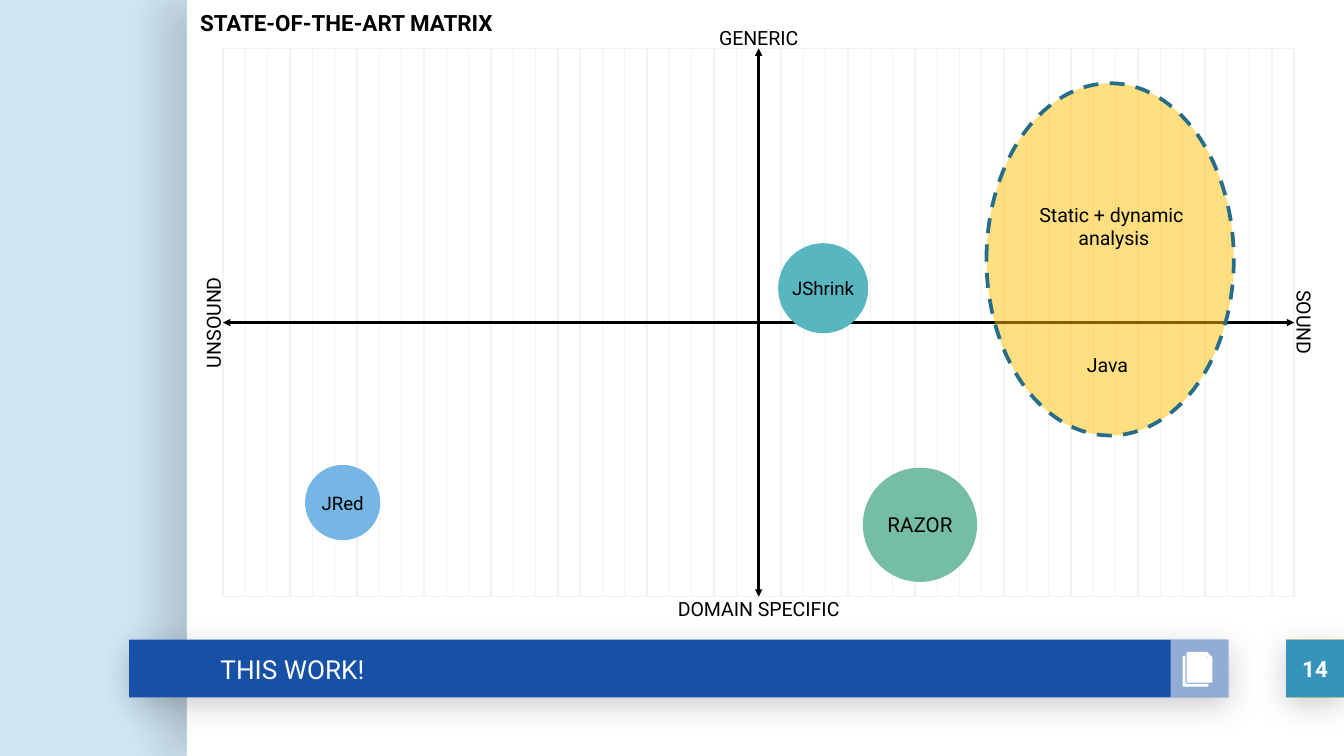
from typing import NamedTuple, Optional

import pptx
import pptx.dml.color
import pptx.enum.dml
import pptx.enum.shapes
import pptx.enum.text
import pptx.oxml
import pptx.oxml.ns
import pptx.util
from pptx.util import Inches

SHAPE = pptx.enum.shapes.MSO_SHAPE
ALIGN = pptx.enum.text.PP_ALIGN
ANCHOR = pptx.enum.text.MSO_ANCHOR
NS = pptx.oxml.ns.nsdecls("a")


class Box(NamedTuple):
    left: float
    top: float
    width: float
    height: float


class Shade(NamedTuple):
    alpha: int
    blur: float
    dist: float
    angle: int


class Bubble(NamedTuple):
    name: str
    left: float
    top: float
    size: float
    fill: str
    points: float


class Label(NamedTuple):
    text: str
    left: float
    top: float
    turn: int = 0


class Note(NamedTuple):
    text: str
    box: Box


WIDTH = 10
HEIGHT = WIDTH * 9 / 16
SIDE = Shade(15, 22.5, 15, 180)
UNDER = Shade(20, 16.9, 3.8, 90)
GRID = Box(1.66, 0.36, 7.97, 4.08)
COLS = 48
TILE = 0.43
BAR_TOP = 4.76

BUBBLES = [
    Bubble("RAZOR", 6.42, 3.48, 0.85, "75BDA7", 11),
    Bubble("JRed", 2.27, 3.46, 0.56, "75B6E5", 10),
    Bubble("JShrink", 5.79, 1.81, 0.67, "58B6C0", 10),
]
LABELS = [
    Label("UNSOUND", 0.96, 2.32, 270),
    Label("SOUND", 9.08, 2.32, 90),
    Label("DOMAIN SPECIFIC", 5.02, 4.45),
    Label("GENERIC", 5.02, 0.2),
]
NOTES = [
    Note("Static + dynamic\n analysis", Box(7.4, 1.46, 1.74, 0.47)),
    Note("Java", Box(7.37, 2.58, 1.74, 0.28)),
]
# Outlines of the document icon: back sheet, front sheet, folded corner
SHEETS = [
    [(8.8, 4.88), (8.82, 4.88), (8.82, 5.08), (8.83, 5.09),
     (8.99, 5.09), (8.99, 5.11), (8.8, 5.11)],
    [(8.83, 4.85), (8.98, 4.85), (8.98, 4.89), (9.02, 4.89),
     (9.02, 5.08), (8.83, 5.08)],
    [(8.98, 4.85), (9.02, 4.89), (8.99, 4.89), (8.98, 4.88)],
]


def color(code: str) -> pptx.dml.color.RGBColor:
    return pptx.dml.color.RGBColor.from_string(code)


def place(sizes: tuple) -> list:
    return [Inches(size) for size in sizes]


def paint(shape, fill: str, alpha: int = 100) -> None:
    """Give a flat fill with no outline and no shadow."""
    shape.shadow.inherit = False
    shape.fill.solid()
    shape.fill.fore_color.rgb = color(fill)
    shape.line.fill.background()
    if alpha < 100:
        tint = shape._element.spPr.find(".//" + pptx.oxml.ns.qn("a:srgbClr"))
        tint.append(pptx.oxml.parse_xml(f'<a:alpha {NS} val="{alpha * 1000}"/>'))


def draw(slide, kind, box: Box, fill: str, alpha: int = 100,
         shade: Optional[Shade] = None):
    shape = slide.shapes.add_shape(kind, *place(box))
    paint(shape, fill, alpha)
    if shade:
        blur, dist = pptx.util.Pt(shade.blur), pptx.util.Pt(shade.dist)
        shape._element.spPr.find(pptx.oxml.ns.qn("a:effectLst")).append(
            pptx.oxml.parse_xml(
                f'<a:outerShdw {NS} blurRad="{blur}" dist="{dist}" '
                f'dir="{shade.angle * 60000}" algn="ctr" rotWithShape="0">'
                f'<a:srgbClr val="000000"><a:alpha val="{shade.alpha * 1000}"/>'
                '</a:srgbClr></a:outerShdw>'))
    return shape


def write(shape, text: str, points: float, ink: str = "000000",
          bold: bool = False, align=ALIGN.CENTER, anchor=ANCHOR.MIDDLE,
          pad_x: float = 0, pad_y: float = 0) -> None:
    frame = shape.text_frame
    frame.word_wrap = True
    frame.vertical_anchor = anchor
    frame.margin_left = frame.margin_right = Inches(pad_x)
    frame.margin_top = frame.margin_bottom = Inches(pad_y)
    frame.text = text
    for para in frame.paragraphs:
        para.alignment = align
        para.font.name = "Roboto"
        para.font.size = pptx.util.Pt(points)
        para.font.bold = bold
        para.font.color.rgb = color(ink)


def rule(slide, start: tuple, end: tuple, ink: str, points: float):
    line = slide.shapes.add_connector(
        pptx.enum.shapes.MSO_CONNECTOR.STRAIGHT, *place(start + end))
    line.line.color.rgb = color(ink)
    line.line.width = pptx.util.Pt(points)
    line._element.spPr.append(pptx.oxml.parse_xml(f"<a:effectLst {NS}/>"))
    return line


def axis(slide, plot, start: int, end: int) -> None:
    """Join two sides of the plot with a double-headed arrow."""
    line = rule(slide, (0, 0), (1, 1), "000000", 1.5)
    line.begin_connect(plot, start)
    line.end_connect(plot, end)
    stroke = line._element.spPr.find(pptx.oxml.ns.qn("a:ln"))
    for tag in ("headEnd", "tailEnd"):
        stroke.append(pptx.oxml.parse_xml(
            f'<a:{tag} {NS} type="triangle" w="sm" len="sm"/>'))


def frame_work(slide) -> None:
    """Draw the page, the bottom bar with its icon, and the page number."""
    corner = Box(9.57, BAR_TOP, TILE, TILE)
    draw(slide, SHAPE.RECTANGLE, Box(1.39, 0, 8.61, HEIGHT), "FFFFFF",
         shade=SIDE)
    draw(slide, SHAPE.RECTANGLE, corner, "FFB000", shade=UNDER)
    draw(slide, SHAPE.RECTANGLE, Box(0.96, BAR_TOP, 8.18, TILE), "1751A6",
         shade=UNDER)
    draw(slide, SHAPE.RECTANGLE, Box(8.71, BAR_TOP, TILE, TILE), "FFFFFF", 53)
    page = draw(slide, SHAPE.RECTANGLE, corner, "3494BA")
    write(page, "14", 12, "FFFFFF", True, pad_x=0.1, pad_y=0.1)
    claim = slide.shapes.add_textbox(*place(Box(1.29, BAR_TOP, 7.85, TILE)))
    write(claim, "THIS WORK!", 14, "FFFFFF", align=ALIGN.LEFT,
          pad_x=0.35, pad_y=0.1)
    for sheet in SHEETS:
        first, *rest = [place(point) for point in sheet]
        pen = slide.shapes.build_freeform(*first)
        pen.add_line_segments(rest)
        paint(pen.convert_to_shape(), "FFFFFF")


def matrix(slide) -> None:
    plot = draw(slide, SHAPE.RECTANGLE, GRID, "FFFFFF")
    plot.line.color.rgb = color("F2F2F2")
    plot.line.width = pptx.util.Pt(0.75)
    for col in range(1, COLS):
        x = GRID.left + col * GRID.width / COLS
        rule(slide, (x, GRID.top), (x, GRID.top + GRID.height), "F2F2F2", 0.75)
    axis(slide, plot, 0, 2)
    axis(slide, plot, 1, 3)

    title = slide.shapes.add_textbox(*place(Box(1.39, -0.09, 3.89, 0.51)))
    write(title, "STATE-OF-THE-ART MATRIX", 12, bold=True, align=ALIGN.LEFT,
          pad_x=0.1, pad_y=0.1)
    zone = draw(slide, SHAPE.OVAL, Box(7.34, 0.62, 1.84, 2.62), "FFC000", 50)
    zone.line.color.rgb = color("266D8A")
    zone.line.width = pptx.util.Pt(2)
    zone.line.dash_style = pptx.enum.dml.MSO_LINE.DASH
    for name, left, top, size, fill, points in BUBBLES:
        ball = draw(slide, SHAPE.OVAL, Box(left, top, size, size), fill)
        write(ball, name, points)
    for label in LABELS:
        box = Box(label.left, label.top, 1.25, 0.16)
        text = slide.shapes.add_textbox(*place(box))
        text.rotation = label.turn
        write(text, label.text, 10.5)
    for note in NOTES:
        text = slide.shapes.add_textbox(*place(note.box))
        write(text, note.text, 10.5, anchor=ANCHOR.TOP, pad_x=0.1, pad_y=0.05)


def main() -> None:
    deck = pptx.Presentation()
    deck.slide_width, deck.slide_height = Inches(WIDTH), Inches(HEIGHT)
    slide = deck.slides.add_slide(deck.slide_layouts[6])
    slide.background.fill.solid()
    slide.background.fill.fore_color.rgb = color("D1E7F6")
    frame_work(slide)
    matrix(slide)
    deck.save("out.pptx")


if __name__ == "__main__":
    main()
